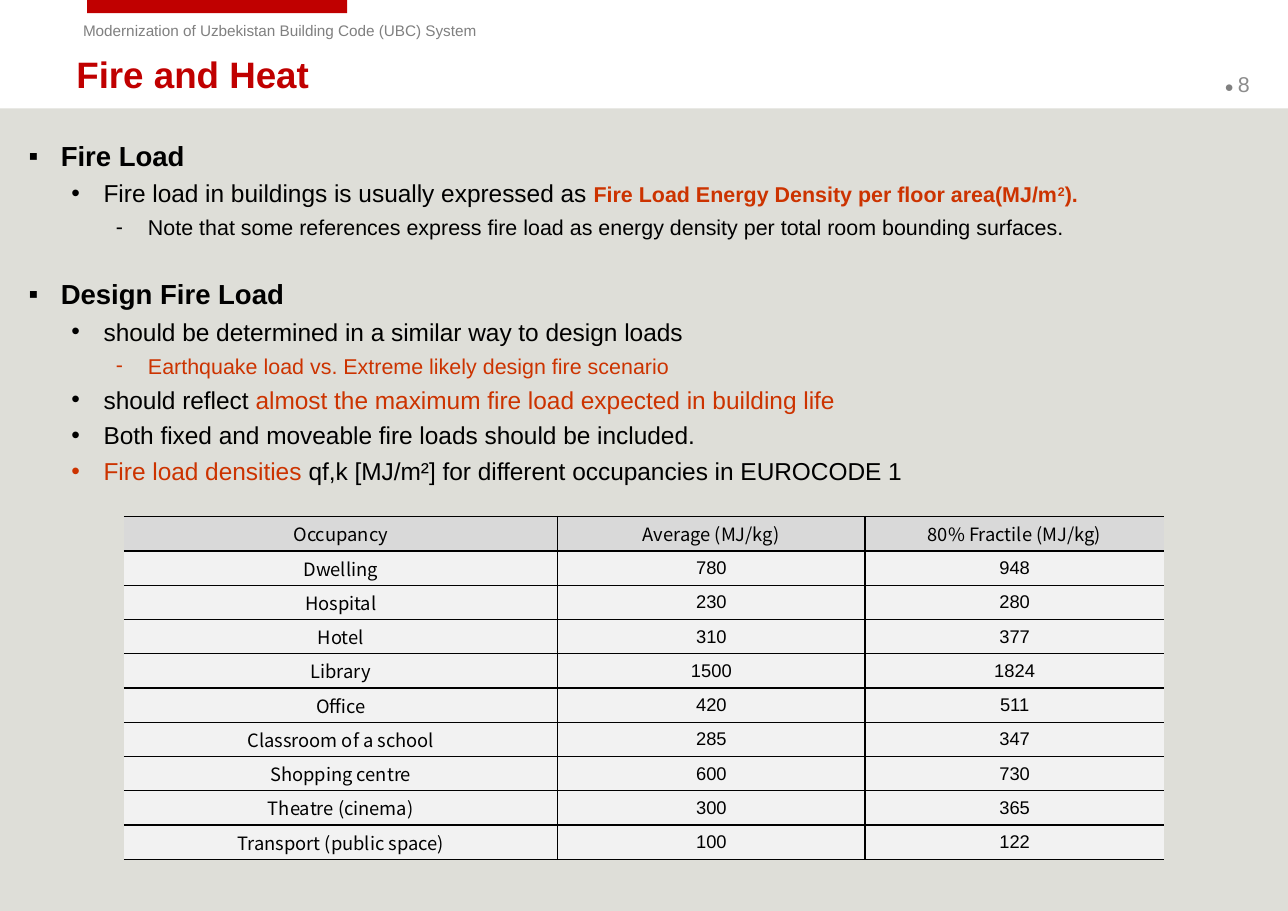
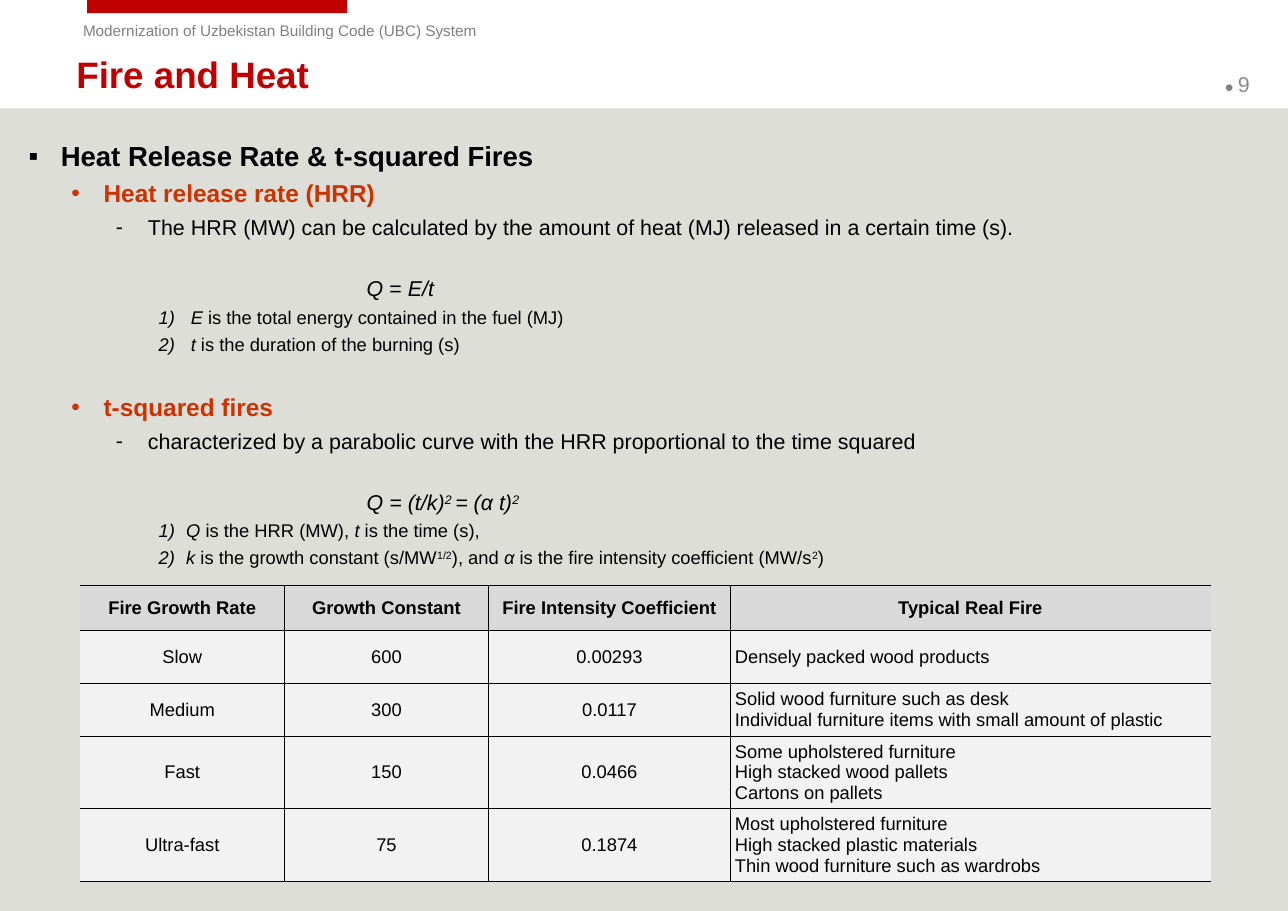
from lxml.etree import SubElement
from pptx import Presentation
from pptx.dml.color import RGBColor
from pptx.enum.shapes import MSO_SHAPE
from pptx.enum.text import MSO_ANCHOR, MSO_AUTO_SIZE, PP_ALIGN
from pptx.oxml import parse_xml
from pptx.oxml.ns import nsdecls, qn
from pptx.util import Pt

COLORS = {
    "ground": "DEDED8", "brand": "C00000", "accent": "CC3300", "black": "000000",
    "muted": "808080", "number": "8C8C8C", "header": "D9D9D9", "cell": "F2F2F2",
}
FONT = "Arial"
LABEL_FONT = "Noto Sans CJK KR"
WIDTH, HEIGHT = 841.9, 595.3
BAND_TOP = 70.8
INSETS = (7.92, 4.32)

# Each outline style: level, size, left margin, hanging indent, space before, mark
STYLES = {
    "head": (0, 18, 21, -21, 24.4, "▪"),
    "point": (1, 16, 49, -21, 4.2, "•"),
    "topic": (1, 16, 49, -21, 24.4, "•"),
    "note": (2, 14, 78, -21, 4.2, "-"),
    "formula": (2, 14, 221, 0, 23.2, None),
    "item": (3, 12, 106, -21, 3.1, "1)"),
    "close item": (3, 12, 103, -18, 3.1, "1)"),
}

FIRE_LOAD = [
    ("head", [("Fire Load", "bold")]),
    ("point", [("Fire load in buildings is usually expressed as ", ""),
               ("Fire Load Energy Density per floor area(MJ/m", "accent bold small"),
               ("2", "accent bold small raised"), (").", "accent bold small")]),
    ("note", [("Note that some references express fire load as energy density "
               "per total room bounding surfaces.", "")]),
    ("head", [("Design Fire Load", "bold")]),
    ("point", [("should be determined in a similar way to design loads", "")]),
    ("note", [("Earthquake load vs. Extreme likely design fire scenario", "accent")]),
    ("point", [("should reflect ", ""),
               ("almost the maximum fire load expected in building life", "accent")]),
    ("point", [("Both fixed and moveable fire loads should be included.", "")]),
    ("point", [("Fire load densities ", "accent"),
               ("qf,k [MJ/m²] for different occupancies in EUROCODE 1", "")]),
]

HEAT_RELEASE = [
    ("head", [("Heat Release Rate & t-squared Fires", "bold")]),
    ("point", [("Heat release rate (HRR)", "accent bold")]),
    ("note", [("The HRR (MW) can be calculated by the amount of heat (MJ) "
               "released in a certain time (s).", "")]),
    ("formula", [("Q ", "italic"), ("= ", ""), ("E/t", "italic")]),
    ("item", [("E ", "italic"), ("is the total energy contained in the fuel (MJ)", "")]),
    ("item", [("t ", "italic"), ("is the duration of the burning (s)", "")]),
    ("topic", [("t-squared fires", "accent bold")]),
    ("note", [("characterized by a parabolic curve with the HRR proportional "
               "to the time squared", "")]),
    ("formula", [("Q = (t/k)", "italic"), ("2 ", "italic raised"),
                 ("= (α t)", "italic"), ("2", "italic raised")]),
    ("close item", [("Q ", "italic"), ("is the HRR (MW), ", ""),
                    ("t ", "italic"), ("is the time (s),", "")]),
    ("close item", [("k ", "italic"), ("is the growth constant (s/MW", ""),
                    ("1/2", "raised"), ("), and ", ""), ("α ", "italic"),
                    ("is the fire intensity coefficient (MW/s", ""),
                    ("2", "raised"), (")", "")]),
]

OCCUPANCIES = [
    ("Occupancy", "Average (MJ/kg)", "80% Fractile (MJ/kg)"),
    ("Dwelling", "780", "948"),
    ("Hospital", "230", "280"),
    ("Hotel", "310", "377"),
    ("Library", "1500", "1824"),
    ("Office", "420", "511"),
    ("Classroom of a school", "285", "347"),
    ("Shopping centre", "600", "730"),
    ("Theatre (cinema)", "300", "365"),
    ("Transport (public space)", "100", "122"),
]

GROWTH_RATES = [
    ("Fire Growth Rate", "Growth Constant", "Fire Intensity Coefficient",
     "Typical Real Fire"),
    ("Slow", "600", "0.00293", "Densely packed wood products"),
    ("Medium", "300", "0.0117", "Solid wood furniture such as desk\n"
     "Individual furniture items with small amount of plastic"),
    ("Fast", "150", "0.0466",
     "Some upholstered furniture\nHigh stacked wood pallets\nCartons on pallets"),
    ("Ultra-fast", "75", "0.1874", "Most upholstered furniture\n"
     "High stacked plastic materials\nThin wood furniture such as wardrobs"),
]


def rgb(name):
    """Return the named colour."""
    return RGBColor.from_string(COLORS[name])


def add_span(para, text, size, color="black", font=FONT, bold=False, italic=False):
    """Append one formatted run to a paragraph."""
    span = para.add_run()
    span.text = text
    span.font.name = font
    span.font.size = Pt(size)
    span.font.bold = bold
    span.font.italic = italic
    span.font.color.rgb = rgb(color)
    return span


def set_frame(frame, insets=INSETS, anchor=MSO_ANCHOR.TOP):
    """Set wrapping, insets and anchor of a text frame."""
    frame.word_wrap = True
    frame.auto_size = MSO_AUTO_SIZE.NONE
    frame.margin_left = frame.margin_right = Pt(insets[0])
    frame.margin_top = frame.margin_bottom = Pt(insets[1])
    frame.vertical_anchor = anchor


def add_box(page, left, top, width, height, **layout):
    """Add an empty text box and return its text frame."""
    box = page.shapes.add_textbox(Pt(left), Pt(top), Pt(width), Pt(height))
    set_frame(box.text_frame, **layout)
    return box.text_frame


def add_band(page, left, top, width, height, color):
    """Add a plain filled rectangle."""
    band = page.shapes.add_shape(
        MSO_SHAPE.RECTANGLE, Pt(left), Pt(top), Pt(width), Pt(height))
    band.shadow.inherit = False
    band.fill.solid()
    band.fill.fore_color.rgb = rgb(color)
    band.line.fill.background()


def add_page(deck, title, number):
    """Add a slide with the shared bands, running header, number and title."""
    page = deck.slides.add_slide(deck.slide_layouts[5])
    add_band(page, 0, BAND_TOP, WIDTH, HEIGHT - BAND_TOP, "ground")
    add_band(page, 57, 0, 170, 8.6, "brand")
    header = add_box(page, 47.2, 10.1, 337, 19.4, insets=(7.2, 3.6))
    add_span(header.paragraphs[0],
             "Modernization of Uzbekistan Building Code (UBC) System", 10, "muted")
    corner = add_box(page, 792.5, 39, 49.4, 31.7, anchor=MSO_ANCHOR.MIDDLE)
    add_span(corner.paragraphs[0], "● ", 10, "muted")
    add_span(corner.paragraphs[0], str(number), 14, "number")
    box = page.shapes.title
    box.left, box.top, box.width, box.height = Pt(42), Pt(34), Pt(750), Pt(29)
    set_frame(box.text_frame, anchor=MSO_ANCHOR.MIDDLE)
    para = box.text_frame.paragraphs[0]
    para.alignment = PP_ALIGN.LEFT
    add_span(para, title, 24, "brand", bold=True)
    return page


def set_mark(para, left, hang, mark):
    """Give a paragraph its indents and its bullet or number."""
    properties = para._p.get_or_add_pPr()
    properties.set("marL", str(Pt(left)))
    properties.set("indent", str(Pt(hang)))
    if mark == "1)":
        SubElement(properties, qn("a:buFont")).set("typeface", "+mj-lt")
        SubElement(properties, qn("a:buAutoNum")).set("type", "arabicParenR")
    elif mark:
        SubElement(properties, qn("a:buFont")).set("typeface", FONT)
        SubElement(properties, qn("a:buChar")).set("char", mark)


def add_outline(page, height, entries):
    """Add the bulleted outline of a slide."""
    frame = add_box(page, 10.8, 86.5, 819.4, height)
    for index, (style, spans) in enumerate(entries):
        level, size, left, hang, before, mark = STYLES[style]
        para = frame.add_paragraph() if index else frame.paragraphs[0]
        para.level = level
        set_mark(para, left, hang, mark)
        para.space_before = Pt(before if index else 0)
        for text, flags in spans:
            span = add_span(para, text, 14 if "small" in flags else size,
                            "accent" if "accent" in flags else "black",
                            bold="bold" in flags, italic="italic" in flags)
            if "raised" in flags:
                span.font._element.set("baseline", "30000")


def set_borders(cell, left, right):
    """Rule a cell above and below, and at the sides that are asked for."""
    properties = cell._tc.get_or_add_tcPr()
    line = f'<a:solidFill><a:srgbClr val="{COLORS["black"]}"/></a:solidFill>'
    sides = {"lnL": left, "lnR": right, "lnT": True, "lnB": True}
    for index, (side, ruled) in enumerate(sides.items()):
        paint = line if ruled else "<a:noFill/>"
        properties.insert(index, parse_xml(
            f'<a:{side} {nsdecls("a")} w="{Pt(1)}">{paint}</a:{side}>'))


def fill_cell(cell, text, color, align, font, bold):
    """Write and format the content of one table cell."""
    cell.fill.solid()
    cell.fill.fore_color.rgb = rgb(color)
    cell.margin_left = cell.margin_right = Pt(3)
    cell.margin_top = cell.margin_bottom = Pt(0)
    cell.vertical_anchor = MSO_ANCHOR.MIDDLE
    for index, line in enumerate(text.split("\n")):
        para = cell.text_frame.add_paragraph() if index else cell.text_frame.paragraphs[0]
        para.alignment = align
        add_span(para, line, 12, font=font, bold=bold)


def add_grid(page, left, top, widths, heights, rows,
             label_font=FONT, bold_header=False, left_column=None):
    """Add a ruled table that is open at its left and right edges."""
    table = page.shapes.add_table(
        len(rows), len(widths), Pt(left), Pt(top),
        Pt(sum(widths)), Pt(sum(heights))).table
    table.first_row = table.horz_banding = False
    for column, width in zip(table.columns, widths):
        column.width = Pt(width)
    for row_index, values in enumerate(rows):
        table.rows[row_index].height = Pt(heights[row_index])
        is_header = row_index == 0
        for index, text in enumerate(values):
            cell = table.cell(row_index, index)
            to_left = index == left_column and not is_header
            fill_cell(cell, text, "header" if is_header else "cell",
                      PP_ALIGN.LEFT if to_left else PP_ALIGN.CENTER,
                      label_font if is_header or index == 0 else FONT,
                      bold_header and is_header)
            set_borders(cell, index > 0, index < len(widths) - 1)


def main():
    """Build and save the deck."""
    deck = Presentation()
    deck.slide_width, deck.slide_height = Pt(WIDTH), Pt(HEIGHT)

    page = add_page(deck, "Fire and Heat", 8)
    add_outline(page, 494, FIRE_LOAD)
    add_grid(page, 81, 337.6, [283.5, 201, 195.5], [22.4] * len(OCCUPANCIES),
             OCCUPANCIES, label_font=LABEL_FONT)

    page = add_page(deck, "Fire and Heat", 9)
    add_outline(page, 306, HEAT_RELEASE)
    add_grid(page, 52.4, 382.6, [133.5, 133.5, 158, 314],
             [29.4, 34.6, 34.6, 47.4, 47.4], GROWTH_RATES,
             bold_header=True, left_column=3)

    deck.save("out.pptx")


if __name__ == "__main__":
    main()
